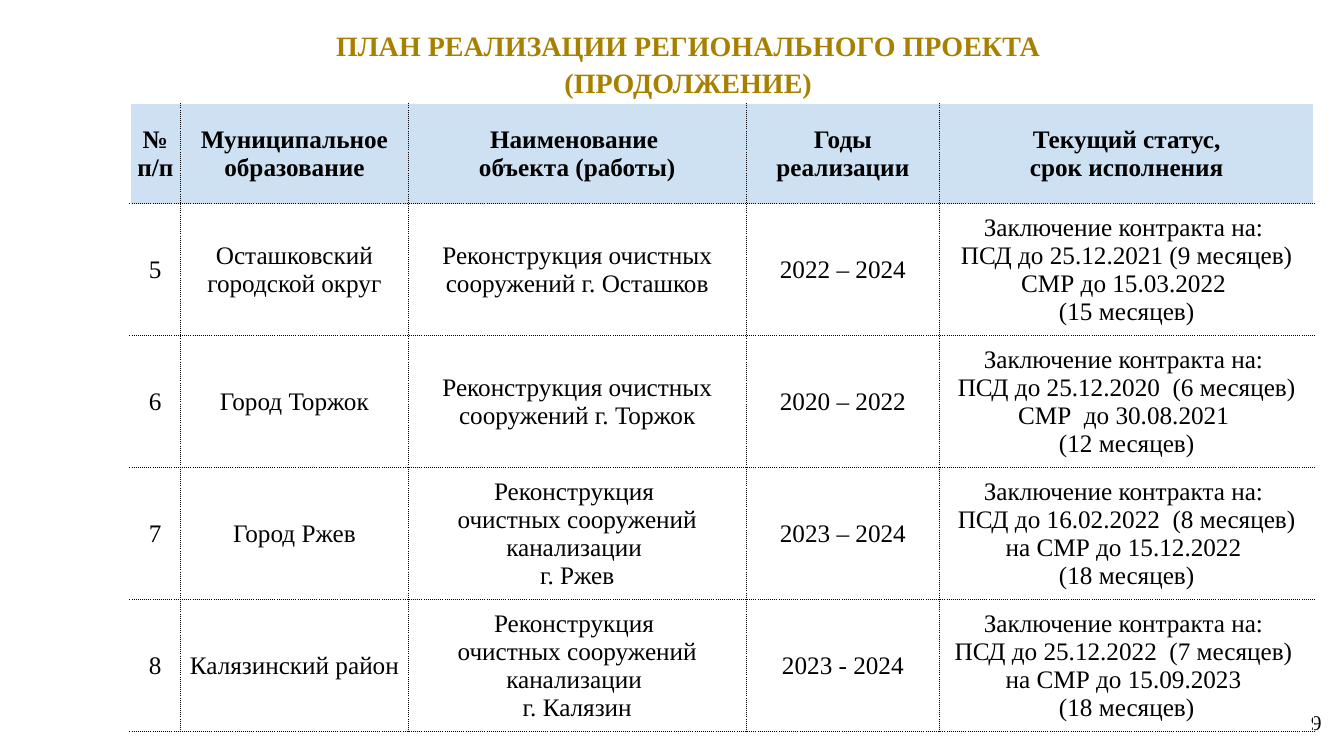
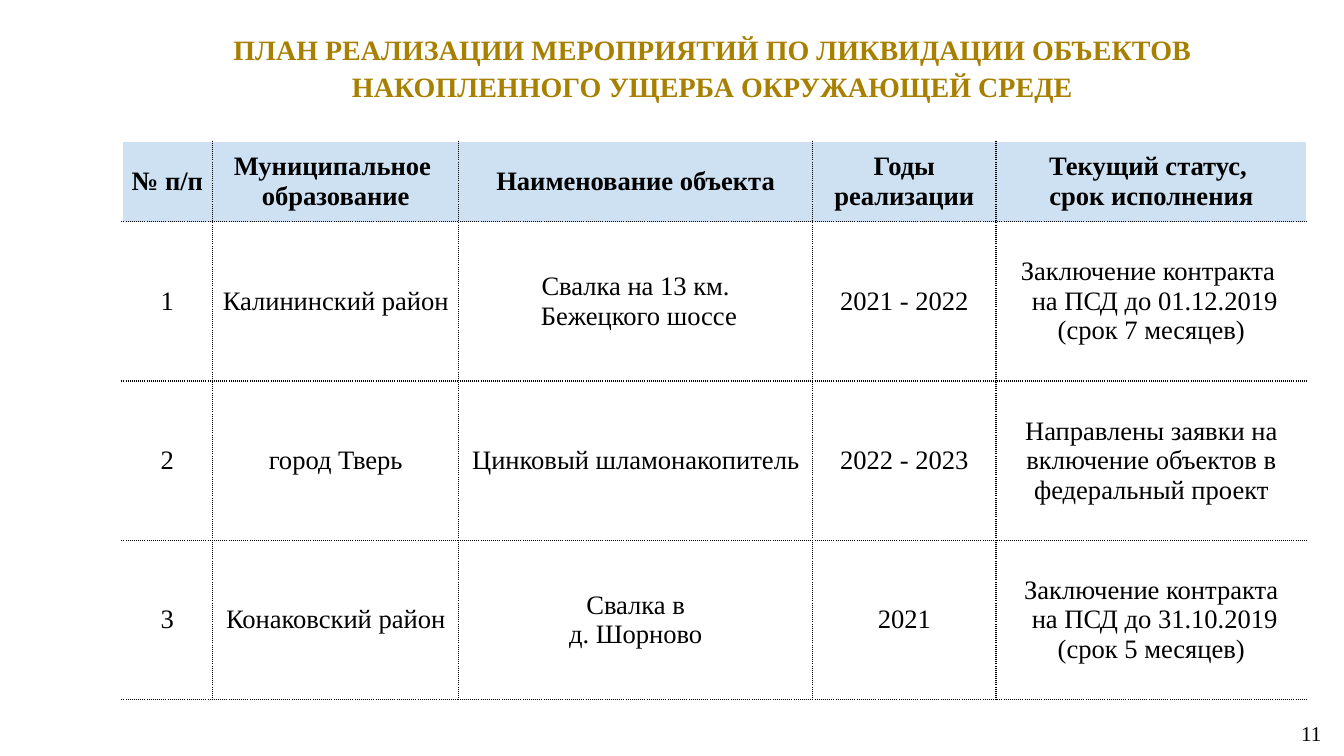
"""Builds two table slides of a regional project plan."""
from lxml import etree
from pptx import Presentation
from pptx.dml.color import RGBColor
from pptx.enum import text
from pptx.oxml import ns
from pptx.util import Inches, Pt

FONT = "Times New Roman"
GOLD = RGBColor(0xA8, 0x80, 0x00)
BLACK = RGBColor(0x00, 0x00, 0x00)
WHITE = RGBColor(0xFF, 0xFF, 0xFF)
PALE_BLUE = RGBColor(0xCE, 0xE1, 0xF2)


class Deck:
    """Holds the shared style and the current slide."""

    def __init__(self):
        self.presentation = Presentation()
        self.presentation.slide_width = Inches(13.33)
        self.presentation.slide_height = Inches(7.5)
        self.slide = None

    def add_slide(self):
        """Starts a blank slide."""
        layout = self.presentation.slide_layouts[6]
        self.slide = self.presentation.slides.add_slide(layout)

    def set_text(self, frame, wording, size, color=BLACK, bold=False, spacing=None):
        """Fills a text frame with centred paragraphs."""
        frame.word_wrap = True
        frame.text = wording
        for paragraph in frame.paragraphs:
            paragraph.alignment = text.PP_ALIGN.CENTER
            if spacing:
                paragraph.line_spacing = spacing
            font = paragraph.font
            font.name, font.size, font.bold = FONT, Pt(size), bold
            font.color.rgb = color

    def text_box(self, box, insets, wording, size, **style):
        """Adds a text box with horizontal and vertical insets."""
        frame = self.slide.shapes.add_textbox(*map(Inches, box)).text_frame
        frame.margin_left = frame.margin_right = Inches(insets[0])
        frame.margin_top = frame.margin_bottom = Inches(insets[1])
        self.set_text(frame, wording, size, **style)
        return frame

    def title(self, box, insets, wording):
        """Adds the gold slide title."""
        self.text_box(box, insets, wording, 20, color=GOLD, bold=True, spacing=1.1)

    def page_number(self, box, number):
        """Adds the page number."""
        frame = self.text_box(box, (0.07, 0.04), str(number), 15)
        frame.vertical_anchor = text.MSO_ANCHOR.MIDDLE

    def border(self, cell, side, dotted):
        """Draws one cell edge, dotted black or plain white."""
        properties = cell._tc.get_or_add_tcPr()
        line = etree.SubElement(properties, ns.qn(f"a:ln{side}"), w=str(Pt(1)))
        fill = etree.SubElement(line, ns.qn("a:solidFill"))
        color = BLACK if dotted else WHITE
        etree.SubElement(fill, ns.qn("a:srgbClr"), val=str(color))
        dash = "sysDot" if dotted else "solid"
        etree.SubElement(line, ns.qn("a:prstDash"), val=dash)

    def table(self, position, widths, heights, rows, size):
        """Adds a table with a tinted header and dotted inner lines."""
        box = (*position, sum(widths), sum(heights))
        table = self.slide.shapes.add_table(
            len(rows), len(widths), *map(Inches, box)).table
        table.first_row = table.horz_banding = False
        for column, width in zip(table.columns, widths):
            column.width = Inches(width)
        for row, height in zip(table.rows, heights):
            row.height = Inches(height)
        for row_index, row in enumerate(rows):
            header = row_index == 0
            for column_index, wording in enumerate(row):
                cell = table.cell(row_index, column_index)
                cell.margin_left = cell.margin_right = 0
                cell.margin_top = cell.margin_bottom = 0
                cell.vertical_anchor = text.MSO_ANCHOR.MIDDLE
                self.set_text(cell.text_frame, wording, size, bold=header)
                self.border(cell, "L", column_index > 0)
                self.border(cell, "R", column_index < len(widths) - 1)
                self.border(cell, "T", not header)
                self.border(cell, "B", True)
                if header:
                    cell.fill.solid()
                    cell.fill.fore_color.rgb = PALE_BLUE
                else:
                    cell.fill.background()


def contract(design, construction):
    """Words the status of a contract with its two stages."""
    return f"Заключение контракта на: \n{design}\n{construction}"


def main():
    """Builds and saves the slides."""
    deck = Deck()

    deck.add_slide()
    deck.title((0.97, 0.18, 11.71, 0.81), (0.13, 0.07),
               "ПЛАН РЕАЛИЗАЦИИ РЕГИОНАЛЬНОГО ПРОЕКТА\n(ПРОДОЛЖЕНИЕ)")
    deck.page_number((12.87, 7.01, 0.37, 0.3), 9)
    treatment_works = [
        ("№ п/п", "Муниципальное образование", "Наименование \vобъекта (работы)",
         "Годы реализации", "Текущий статус,\vсрок исполнения"),
        ("5", "Осташковский городской округ",
         "Реконструкция очистных сооружений г. Осташков", "2022 – 2024",
         contract("ПСД до 25.12.2021 (9 месяцев)",
                  "СМР до 15.03.2022 \v(15 месяцев)")),
        ("6", "Город Торжок",
         "Реконструкция очистных сооружений г. Торжок", "2020 – 2022",
         contract("ПСД до 25.12.2020  (6 месяцев)",
                  "СМР  до 30.08.2021 \v(12 месяцев)")),
        ("7", "Город Ржев",
         "Реконструкция \vочистных сооружений канализации \nг. Ржев", "2023 – 2024",
         contract("ПСД до 16.02.2022  (8 месяцев)",
                  "на СМР до 15.12.2022 \v(18 месяцев)")),
        ("8", "Калязинский район",
         "Реконструкция \vочистных сооружений канализации \nг. Калязин", "2023 - 2024",
         contract("ПСД до 25.12.2022  (7 месяцев) ",
                  "на СМР до 15.09.2023 \v(18 месяцев)")),
    ]
    deck.table((1.29, 1.03), (0.5, 2.26, 3.35, 1.92, 3.71),
               [0.99] + [1.31] * 4, treatment_works, 18)

    deck.add_slide()
    deck.title((1.28, 0.24, 11.57, 0.77), (0.1, 0.05),
               "ПЛАН РЕАЛИЗАЦИИ МЕРОПРИЯТИЙ ПО ЛИКВИДАЦИИ ОБЪЕКТОВ "
               "НАКОПЛЕННОГО УЩЕРБА ОКРУЖАЮЩЕЙ СРЕДЕ")
    damage_sites = [
        ("№ п/п", "Муниципальное \vобразование", "Наименование объекта",
         "Годы реализации", "Текущий статус, \vсрок исполнения"),
        ("1", "Калининский район", "Свалка на 13 км.\n Бежецкого шоссе",
         "2021 - 2022",
         "Заключение контракта \n на ПСД до 01.12.2019\n(срок 7 месяцев)"),
        ("2", "город Тверь", "Цинковый шламонакопитель", "2022 - 2023",
         "Направлены заявки на включение объектов в федеральный проект"),
        ("3", "Конаковский район", "Свалка в\vд. Шорново", "2021",
         "Заключение контракта\n на ПСД до 31.10.2019\n(срок 5 месяцев)"),
    ]
    deck.table((1.21, 1.4), (0.9, 2.44, 3.51, 1.82, 3.08),
               [0.8] + [1.58] * 3, damage_sites, 19)
    deck.page_number((12.68, 7.04, 0.65, 0.47), 11)

    deck.presentation.save("out.pptx")


if __name__ == "__main__":
    main()
